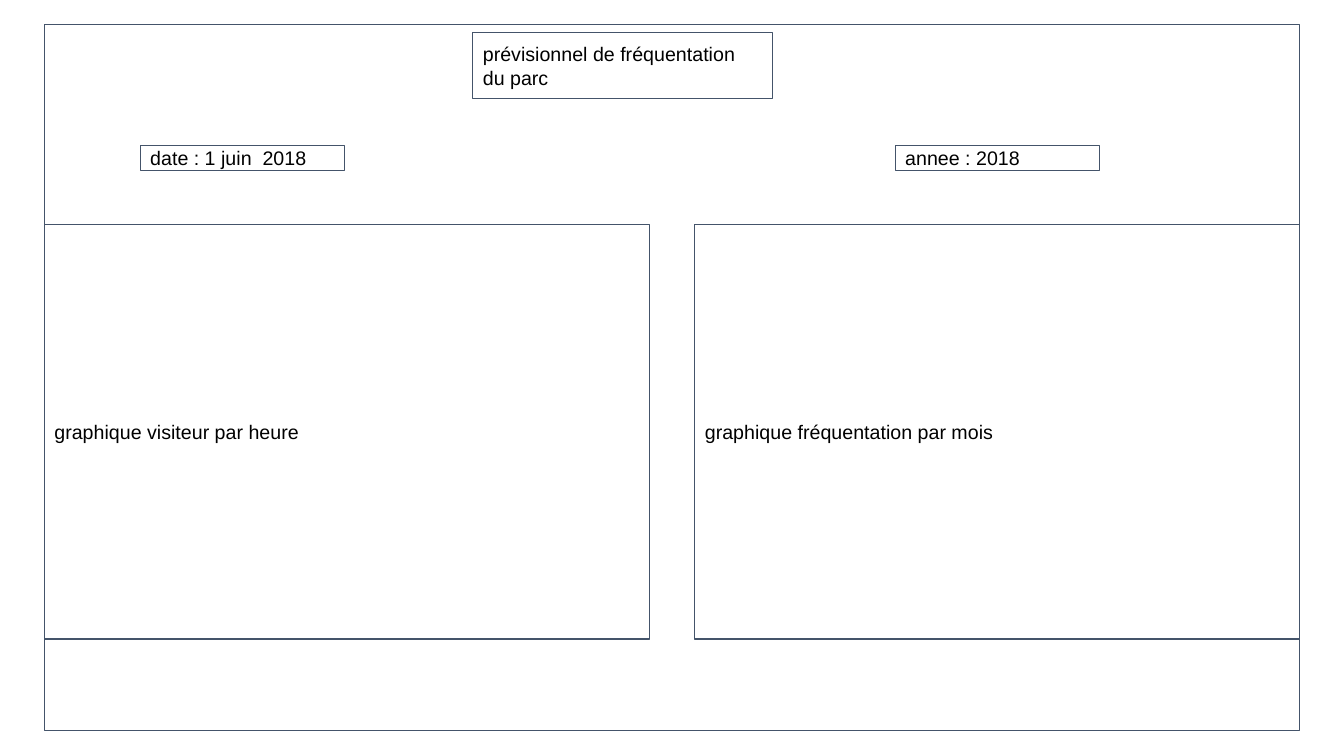
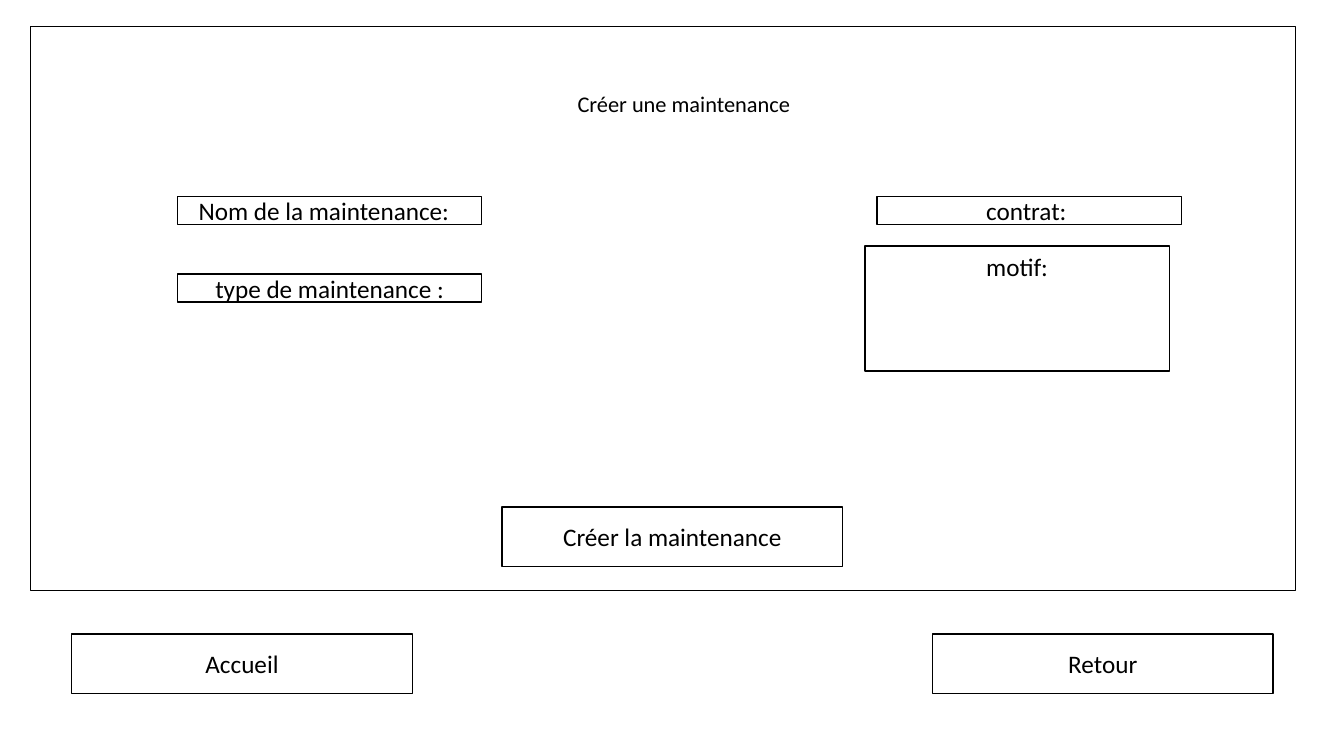
from dataclasses import dataclass

from pptx import Presentation
from pptx.dml.color import RGBColor
from pptx.enum import shapes, text
from pptx.util import Inches, Pt

COLOURS = {"white": "FFFFFF", "black": "000000", "slate": "44546A"}


@dataclass
class Style:
    font: str
    size: int
    line: str
    weight: float
    fill: str | None
    align: text.PP_ALIGN
    inset_y: float


SKETCH = Style("Arial", 14, "slate", 0.75, None, text.PP_ALIGN.LEFT, 1.33)
FORM = Style("Calibri", 18, "black", 1, "white", text.PP_ALIGN.CENTER, 0.67)
INSET_X = 0.75


def colour(name):
    return RGBColor.from_string(COLOURS[name])


class Wireframe:
    def __init__(self):
        self.deck = Presentation()
        self.deck.slide_width = Inches(13.33)
        self.deck.slide_height = Inches(7.5)

    def start(self, style):
        self.style = style
        self.page = self.deck.slides.add_slide(self.deck.slide_layouts[6])

    def across(self, share):
        return round(self.deck.slide_width * share / 100)

    def down(self, share):
        return round(self.deck.slide_height * share / 100)

    def place(self, left, top, width, height):
        return self.across(left), self.down(top), self.across(width), self.down(height)

    def label(self, box, words, align, anchor, size, inset_right=INSET_X):
        frame = box.text_frame
        frame.word_wrap = True
        frame.vertical_anchor = anchor
        frame.margin_left = self.across(INSET_X)
        frame.margin_right = self.across(inset_right)
        frame.margin_top = frame.margin_bottom = self.down(self.style.inset_y)
        para = frame.paragraphs[0]
        para.alignment = align
        span = para.add_run()
        span.text = words
        span.font.name = self.style.font
        span.font.size = Pt(size)
        span.font.color.rgb = colour("black")

    def box(self, area, words=None, anchor=text.MSO_ANCHOR.MIDDLE, inset_right=INSET_X):
        style = self.style
        box = self.page.shapes.add_shape(shapes.MSO_SHAPE.RECTANGLE, *self.place(*area))
        box.shadow.inherit = False
        if style.fill:
            box.fill.solid()
            box.fill.fore_color.rgb = colour(style.fill)
        else:
            box.fill.background()
        box.line.color.rgb = colour(style.line)
        box.line.width = Pt(style.weight)
        if words:
            self.label(box, words, style.align, anchor, style.size, inset_right)

    def heading(self, area, words):
        box = self.page.shapes.add_textbox(*self.place(*area))
        self.label(box, words, text.PP_ALIGN.LEFT, text.MSO_ANCHOR.TOP, 16)

    def save(self):
        self.deck.save("out.pptx")


def attendance(wireframe):
    wireframe.start(SKETCH)
    left, width, panel = 3.3, 93.4, 45
    wireframe.box((left, 3.2, width, 93.47))
    wireframe.box((35.18, 4.27, 22.28, 8.8), "prévisionnel de fréquentation du parc")
    for column, words in ((10.43, "date : 1 juin  2018"), (66.6, "annee : 2018")):
        wireframe.box((column, 19.2, 15.23, 3.33), words)
    for column, words in (
        (left, "graphique visiteur par heure"),
        (left + width - panel, "graphique fréquentation par mois"),
    ):
        wireframe.box((column, 29.73, panel, 54.8), words)


def maintenance(wireframe):
    wireframe.start(FORM)
    wireframe.box((2.25, 3.47, 94.13, 74.67))
    wireframe.heading((42.23, 11.2, 19.8, 4.93), "Créer une maintenance")
    field = 22.65
    for column, row, words, inset_right in (
        (13.2, 26, "Nom de la maintenance:", 1.6),
        (13.2, 36.27, "type de maintenance :", INSET_X),
        (65.25, 26, "contrat: ", INSET_X),
    ):
        wireframe.box((column, row, field, 3.67), words, inset_right=inset_right)
    wireframe.box((64.35, 32.53, field, 16.53), "motif:", text.MSO_ANCHOR.TOP)
    for column, row, words in (
        (37.35, 67.07, "Créer la maintenance"),
        (69.38, 83.87, "Retour"),
        (5.33, 83.87, "Accueil"),
    ):
        wireframe.box((column, row, 25.35, 7.87), words)


def main():
    wireframe = Wireframe()
    attendance(wireframe)
    maintenance(wireframe)
    wireframe.save()


if __name__ == "__main__":
    main()
